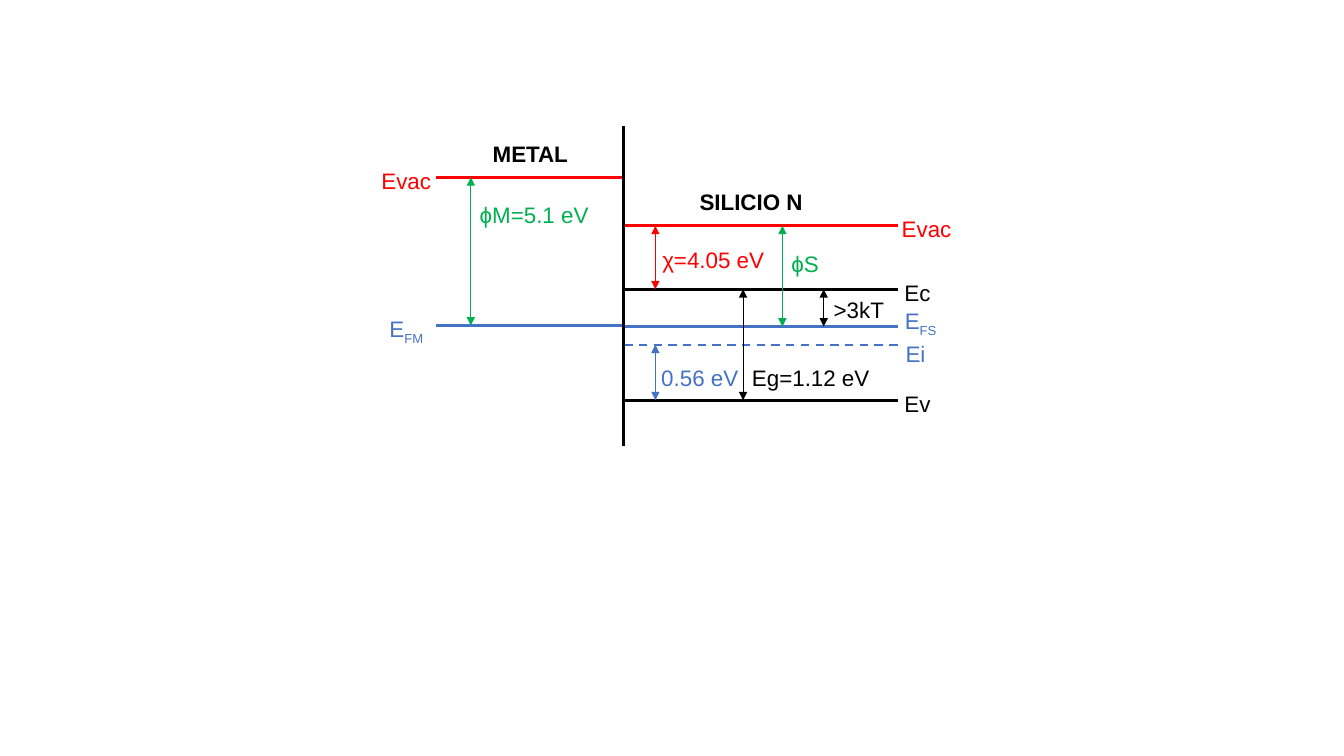
from lxml.etree import SubElement
from pptx import Presentation
from pptx.dml.color import RGBColor
from pptx.enum.dml import MSO_LINE
from pptx.enum.shapes import MSO_CONNECTOR
from pptx.enum.text import MSO_AUTO_SIZE, PP_ALIGN
from pptx.oxml.ns import qn
from pptx.util import Inches, Pt

COLORS = {"red": "FF0000", "blue": "4472C4", "green": "00B050", "black": "000000"}
FONT, TEXT_SIZE, TEXT_HEIGHT = "Arial", 16, 0.37
LABEL_RISE = 0.15  # label top above its energy level
LEVEL_WIDTH, ARROW_WIDTH, DASH_WIDTH = 2.25, 0.5, 1.5

# Content: all lengths in inches
JUNCTION = {"x": 6.18, "top": 1.25, "bottom": 4.42}
SIDES = [
    {
        "title": ("METAL", 5.26, 1.34, 0.96),  # text, centre, top, width
        "span": (4.32, 6.19),
        # name: height, colour, dashed, label, subscript, label centre, label width
        "levels": {
            "vacuum": (1.76, "red", False, "Evac", "", 4.03, 0.7),
            "fermi": (3.23, "blue", False, "E", "FM", 4.03, 0.57),
        },
        "label_shifts": {},
        # upper level, lower level, x, colour, label, label left, top, width
        "gaps": [
            ("vacuum", "fermi", 4.67, "green", "ϕM=5.1 eV", 4.66, 1.95, 1.3),
        ],
    },
    {
        "title": ("SILICIO N", 7.45, 1.82, 1.24),
        "span": (6.19, 8.91),
        "levels": {
            "vacuum": (2.24, "red", False, "Evac", "", 9.19, 0.7),
            "conduction": (2.87, "black", False, "Ec", "", 9.1, 0.46),
            "fermi": (3.24, "blue", False, "E", "FS", 9.13, 0.54),
            "intrinsic": (3.42, "blue", True, "Ei", "", 9.08, 0.4),
            "valence": (3.97, "black", False, "Ev", "", 9.1, 0.46),
        },
        # Keeps the labels of two close levels apart
        "label_shifts": {"fermi": -0.09, "intrinsic": 0.06},
        "gaps": [
            ("vacuum", "conduction", 6.5, "red", "χ=4.05 eV", 6.47, 2.39, 1.22),
            ("conduction", "fermi", 8.17, "black", ">3kT", 8.17, 2.89, 0.71),
            ("intrinsic", "valence", 6.5, "blue", "0.56 eV", 6.46, 3.56, 0.98),
            ("conduction", "valence", 7.37, "black", "Eg=1.12 eV", 7.36, 3.56, 1.38),
            ("vacuum", "fermi", 7.76, "green", "ϕS", 7.75, 2.43, 0.48),
        ],
    },
]


def color(name):
    return RGBColor.from_string(COLORS[name])


def add_line(shapes, start, end, color_name, width, arrows=False, dashed=False):
    ends = [Inches(value) for value in (*start, *end)]
    connector = shapes.add_connector(MSO_CONNECTOR.STRAIGHT, *ends)
    connector.line.color.rgb = color(color_name)
    connector.line.width = Pt(width)
    if dashed:
        connector.line.dash_style = MSO_LINE.DASH
    properties = connector._element.spPr
    if arrows:
        for tag in ("a:headEnd", "a:tailEnd"):
            SubElement(properties.get_or_add_ln(), qn(tag), type="triangle")
    SubElement(properties, qn("a:effectLst"))


def add_text(shapes, text, left, top, width, color_name,
             subscript="", bold=False, align=PP_ALIGN.CENTER):
    box = shapes.add_textbox(*map(Inches, (left, top, width, TEXT_HEIGHT)))
    box.text_frame.word_wrap = False
    box.text_frame.auto_size = MSO_AUTO_SIZE.SHAPE_TO_FIT_TEXT
    para = box.text_frame.paragraphs[0]
    para.alignment = align
    para.font.name, para.font.size, para.font.bold = FONT, Pt(TEXT_SIZE), bold
    para.font.color.rgb = color(color_name)
    para.add_run().text = text
    if subscript:
        run = para.add_run()
        run.text = subscript
        run._r.get_or_add_rPr().set("baseline", "-25000")


def add_side(shapes, side):
    left, right = side["span"]
    levels = side["levels"]

    # Energy levels with their names
    for name, level in levels.items():
        height, hue, dashed, label, subscript, center, width = level
        line_width = DASH_WIDTH if dashed else LEVEL_WIDTH
        add_line(shapes, (left, height), (right, height), hue, line_width, dashed=dashed)
        top = height - LABEL_RISE + side["label_shifts"].get(name, 0)
        add_text(shapes, label, center - width / 2, top, width, hue, subscript)

    # Double arrows between levels
    for upper, lower, x, hue, label, label_left, top, width in side["gaps"]:
        add_line(shapes, (x, levels[upper][0]), (x, levels[lower][0]), hue,
                 ARROW_WIDTH, arrows=True)
        add_text(shapes, label, label_left, top, width, hue, align=PP_ALIGN.LEFT)

    # Material name
    text, center, top, width = side["title"]
    add_text(shapes, text, center - width / 2, top, width, "black", bold=True)


def main():
    deck = Presentation()
    deck.slide_width, deck.slide_height = Inches(13.33), Inches(7.5)
    page = deck.slides.add_slide(deck.slide_layouts[6])
    for side in SIDES:
        add_side(page.shapes.add_group_shape().shapes, side)
    add_line(page.shapes, (JUNCTION["x"], JUNCTION["top"]),
             (JUNCTION["x"], JUNCTION["bottom"]), "black", LEVEL_WIDTH)
    deck.save("out.pptx")


if __name__ == "__main__":
    main()
